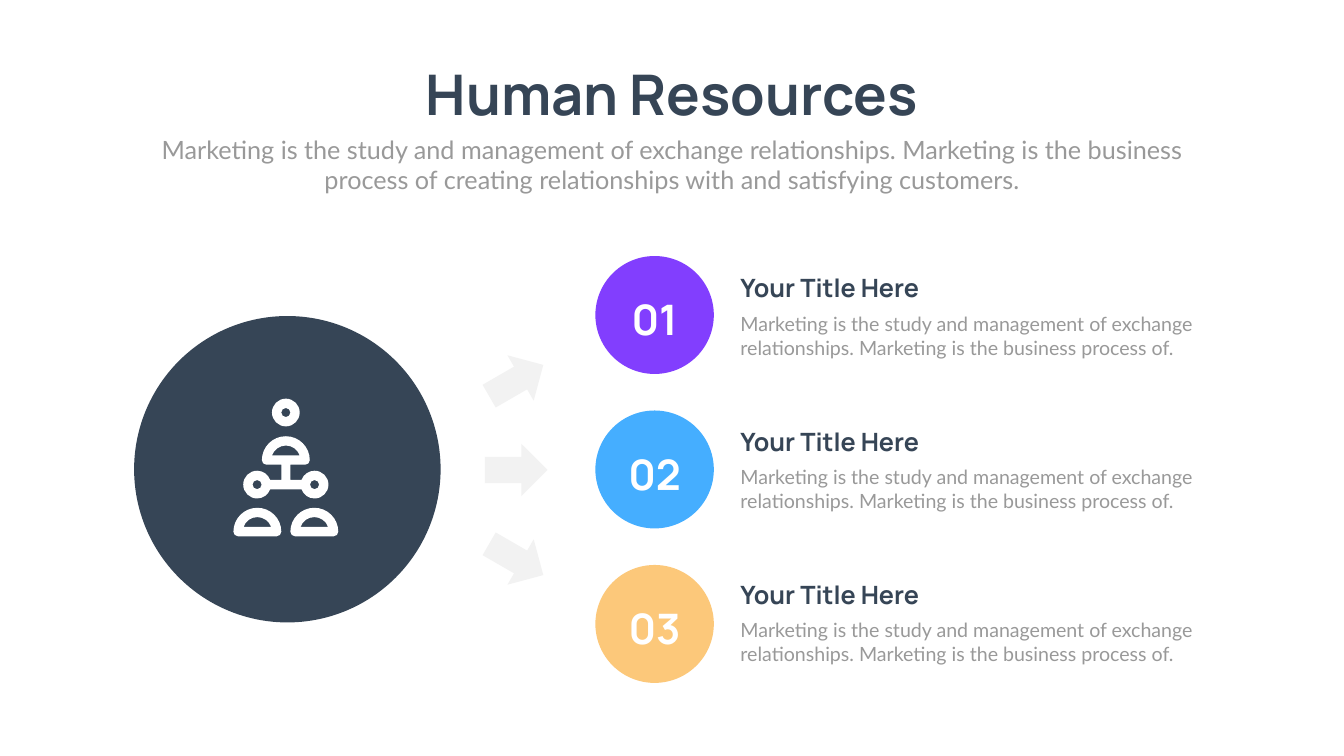
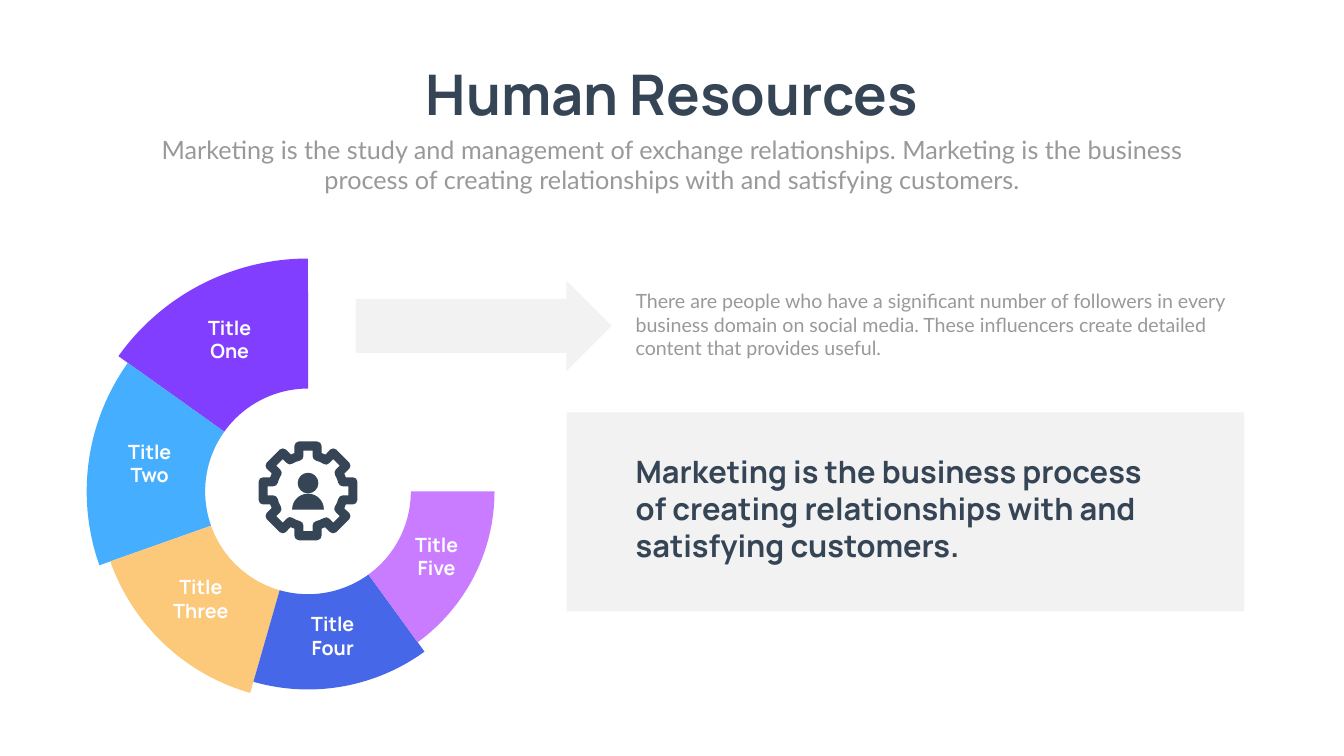
from copy import deepcopy
from math import ceil, cos, floor, radians, sin, tan

from pptx import Presentation
from pptx.dml.color import RGBColor
from pptx.enum.shapes import MSO_SHAPE
from pptx.enum.text import MSO_ANCHOR, MSO_AUTO_SIZE, PP_ALIGN
from pptx.oxml.ns import qn
from pptx.util import Inches, Pt

OVAL, ARROW, PANEL = MSO_SHAPE.OVAL, MSO_SHAPE.RIGHT_ARROW, MSO_SHAPE.ROUNDED_RECTANGLE
LEFT, CENTER = PP_ALIGN.LEFT, PP_ALIGN.CENTER
TOP, GROW = MSO_ANCHOR.TOP, MSO_AUTO_SIZE.SHAPE_TO_FIT_TEXT

NAVY, GRAY, PALE, WHITE = "364556", "999999", "F2F2F2", "FFFFFF"
PURPLE, BLUE, SAND, INDIGO, LILAC = "823EFE", "45AEFF", "FCC87A", "4567E8", "C97CFF"

# size, font, colour, bold
TITLE = (80, "Manrope", NAVY, True)
INTRO = (36, "Lato", GRAY, False)
NUMBER = (60, "Manrope", WHITE, True)
HEADING = (36, "Manrope", NAVY, True)
BODY = (28, "Lato", GRAY, False)
WEDGE = (28, "Manrope", WHITE, True)
QUOTE = (44, "Manrope", NAVY, True)


def arc(x, y, radius, start, end):
    """A start point, then one Bezier segment per quadrant; degrees, clockwise from the right."""
    low, high = sorted((start, end))
    inner = [90 * k for k in range(floor(low / 90) + 1, ceil(high / 90))]
    angles = sorted([low, *inner, high], reverse=end < start)
    segments = [[(x + radius * cos(radians(start)), y + radius * sin(radians(start)))]]
    for a, b in zip(angles, angles[1:]):
        a, b = radians(a), radians(b)
        pull = 4 / 3 * tan((b - a) / 4)
        segments.append([
            (x + radius * (cos(a) - pull * sin(a)), y + radius * (sin(a) + pull * cos(a))),
            (x + radius * (cos(b) + pull * sin(b)), y + radius * (sin(b) - pull * cos(b))),
            (x + radius * cos(b), y + radius * sin(b))])
    return segments


def write(holder, box, text, style, align=LEFT):
    holder.left, holder.top, holder.width, holder.height = map(Inches, box)
    frame = holder.text_frame
    for name, value in {"word_wrap": True, "auto_size": GROW, "vertical_anchor": TOP}.items():
        setattr(frame, name, value)
    paragraph = frame.paragraphs[0]
    paragraph.alignment = align
    paragraph.space_before = Pt(0)
    run = paragraph.add_run()
    run.text = text
    size, face, color, bold = style
    for name, value in {"size": Pt(size), "name": face, "bold": bold}.items():
        setattr(run.font, name, value)
    run.font.color.rgb = RGBColor.from_string(color)


prs = Presentation()
prs.slide_width, prs.slide_height = Inches(26.66), Inches(15)

# Shared heading
for _ in range(2):
    slide = prs.slides.add_slide(prs.slide_layouts[0])
    write(slide.shapes.title, (7.97, 1.14, 10.72, 1.45), "Human Resources", TITLE, CENTER)
    write(slide.placeholders[1], (2.92, 2.61, 20.82, 1.31),
          "Marketing is the study and management of exchange relationships. "
          "Marketing is the business process of creating relationships with "
          "and satisfying customers.", INTRO, CENTER)
steps_slide, wheel_slide = prs.slides

# Preset shapes: slide, kind, box, rotation, first adjustment, colour
presets = [
    (steps_slide, OVAL, (2.66, 6.27, 6.08, 6.08), 0, None, NAVY),
    (wheel_slide, ARROW, (7.06, 5.57, 5.07, 1.79), 0, 0.6, PALE),
    (wheel_slide, PANEL, (11.24, 8.18, 13.44, 3.95), 0, 0, PALE),
]
for row, color in enumerate((PURPLE, BLUE, SAND)):
    presets.append((steps_slide, OVAL, (11.81, 5.08 + 3.065 * row, 2.35, 2.34), 0, None, color))
    presets.append((steps_slide, ARROW, (9.62, 7.03 + 1.775 * row, 1.24, 1.04),
                    30 * (row - 1), 0.5, PALE))

painted = []
for slide, kind, box, rotation, adjustment, color in presets:
    shape = slide.shapes.add_shape(kind, *map(Inches, box))
    shape.rotation = rotation
    if adjustment is not None:
        shape.adjustments[0] = adjustment
    painted.append((shape, color))

# Outlines: slide, colour, contours (any after the first are holes).
# A segment is one point for a line or three for a curve.
outlines = []

# Team icon: two shoulders, a joined middle part and the top head
for x in (5.105, 6.235):
    shoulders = (arc(x, 10.55, 0.475, 180, 360) + arc(x + 0.385, 10.55, 0.09, 0, 90)
                 + arc(x - 0.385, 10.55, 0.09, 90, 180))
    outlines.append((steps_slide, WHITE, [shoulders, arc(x, 10.55, 0.29, 199, 341)]))
team = (arc(6.24, 9.615, 0.275, 160, -160) + [[(5.76, 9.52)], [(5.76, 9.22)]]
        + arc(6.055, 9.13, 0.09, 90, 0) + arc(5.67, 9.13, 0.475, 0, -180)
        + arc(5.285, 9.13, 0.09, 180, 90) + [[(5.58, 9.22)], [(5.58, 9.52)]]
        + arc(5.1, 9.615, 0.275, -20, -340))
outlines += [
    (steps_slide, WHITE, [team, arc(5.67, 9.13, 0.29, 199, 341),
                          arc(6.24, 9.615, 0.09, 0, 360), arc(5.1, 9.615, 0.09, 0, 360)]),
    (steps_slide, WHITE, [arc(5.67, 8.185, 0.275, 0, 360), arc(5.67, 8.185, 0.09, 0, 360)]),
]

# Wheel: each wedge is a little shorter than the one before
HUB_X, HUB_Y, HUB_RADIUS = 6.11, 9.75, 2.04
EDGES = (270, 215.5, 160.5, 106, 54, 0)
for i, color in enumerate((PURPLE, BLUE, SAND, INDIGO, LILAC)):
    start, end = EDGES[i:i + 2]
    wedge = (arc(HUB_X, HUB_Y, 4.62 - 0.23 * i, start, end)
             + arc(HUB_X, HUB_Y, HUB_RADIUS, end, start))
    outlines.append((wheel_slide, color, [wedge]))

# Gear icon: a quarter of each edge, turned four times
RIM = [[(-0.27, -0.89)], [(-0.27, -0.94), (-0.23, -0.98), (-0.18, -0.98)],
       [(0.18, -0.98)], [(0.23, -0.98), (0.27, -0.94), (0.27, -0.89)],
       [(0.27, -0.75)], [(0.29, -0.74), (0.32, -0.73), (0.35, -0.72)],
       [(0.44, -0.82)], [(0.47, -0.85), (0.53, -0.85), (0.56, -0.82)],
       [(0.82, -0.56)], [(0.85, -0.53), (0.85, -0.47), (0.82, -0.44)],
       [(0.72, -0.34)], [(0.73, -0.32), (0.74, -0.29), (0.75, -0.27)]]
HOLE = [[(-0.09, -0.8)], [(0.09, -0.8)], [(0.09, -0.69)],
        [(0.09, -0.65), (0.12, -0.61), (0.16, -0.6)],
        [(0.21, -0.59), (0.27, -0.56), (0.32, -0.53)],
        [(0.35, -0.51), (0.39, -0.52), (0.42, -0.55)],
        [(0.5, -0.63)], [(0.63, -0.5)], [(0.55, -0.42)],
        [(0.52, -0.39), (0.52, -0.35), (0.54, -0.31)],
        [(0.57, -0.26), (0.59, -0.21), (0.6, -0.16)],
        [(0.61, -0.12), (0.65, -0.09), (0.69, -0.09)]]
gear = []
for quarter in (RIM, HOLE):
    edge = []
    for _ in range(4):
        edge += [[(HUB_X + x, 9.74 + y) for x, y in segment] for segment in quarter]
        quarter = [[(-y, x) for x, y in segment] for segment in quarter]
    gear.append(edge)
outlines += [
    (wheel_slide, NAVY, gear),
    (wheel_slide, NAVY, [arc(HUB_X, 9.585, 0.205, 0, 360)]),
    (wheel_slide, NAVY, [arc(HUB_X, 10.11, 0.315, 180, 360)]),
]

for slide, color, contours in outlines:
    builder, segments = None, []
    for contour in contours:
        ends = [(Inches(x), Inches(y)) for *_, (x, y) in contour]
        if builder is None:
            builder = slide.shapes.build_freeform(*ends[0])
        else:
            builder.move_to(*ends[0])
        builder.add_line_segments(ends[1:], close=True)
        segments += contour[1:]
    shape = builder.convert_to_shape()
    # Turn the three-point segments into curves
    for line, segment in zip(list(shape.element.iter(qn("a:lnTo"))), segments):
        if len(segment) == 3:
            line.tag = qn("a:cubicBezTo")
            for place, (x, y) in enumerate(segment[:2]):
                control = deepcopy(line[-1])
                control.set("x", str(Inches(x) - shape.left))
                control.set("y", str(Inches(y) - shape.top))
                line.insert(place, control)
    painted.append((shape, color))

for shape, color in painted:
    shape.shadow.inherit = False
    shape.fill.solid()
    shape.fill.fore_color.rgb = RGBColor.from_string(color)
    shape.line.fill.background()

# Text boxes: slide, box, text, style, alignment
labels = []
for row in range(3):
    labels += [
        (steps_slide, (12.35, 5.77 + 3.07 * row, 1.27, 1.11), f"0{row + 1}", NUMBER, CENTER),
        (steps_slide, (14.59, 5.36 + 3.04 * row, 9.25, 0.71), "Your Title Here", HEADING, LEFT),
        (steps_slide, (14.59, 6.14 + 3.04 * row, 9.25, 1.04),
         "Marketing is the study and management of exchange relationships. "
         "Marketing is the business process of.", BODY, LEFT),
    ]
for word, left, top, width in (("One", 3.76, 6.21, 1.59), ("Two", 2.41, 8.67, 1.12),
                               ("Three", 3.05, 11.36, 1.87), ("Four", 6.04, 12.1, 1.12),
                               ("Five", 8.1, 10.52, 1.12)):
    labels.append((wheel_slide, (left, top, width, 1.04), f"Title {word}", WEDGE, CENTER))
labels += [
    (wheel_slide, (12.51, 5.69, 12.53, 1.51),
     "There are people who have a significant number of followers in every business "
     "domain on social media. These influencers create detailed content that "
     "provides useful.", BODY, LEFT),
    (wheel_slide, (12.51, 8.94, 10.89, 2.32),
     "Marketing is the business process of creating relationships with and "
     "satisfying customers.", QUOTE, LEFT),
]
for slide, box, text, style, align in labels:
    write(slide.shapes.add_textbox(0, 0, 0, 0), box, text, style, align)

prs.save("out.pptx")
